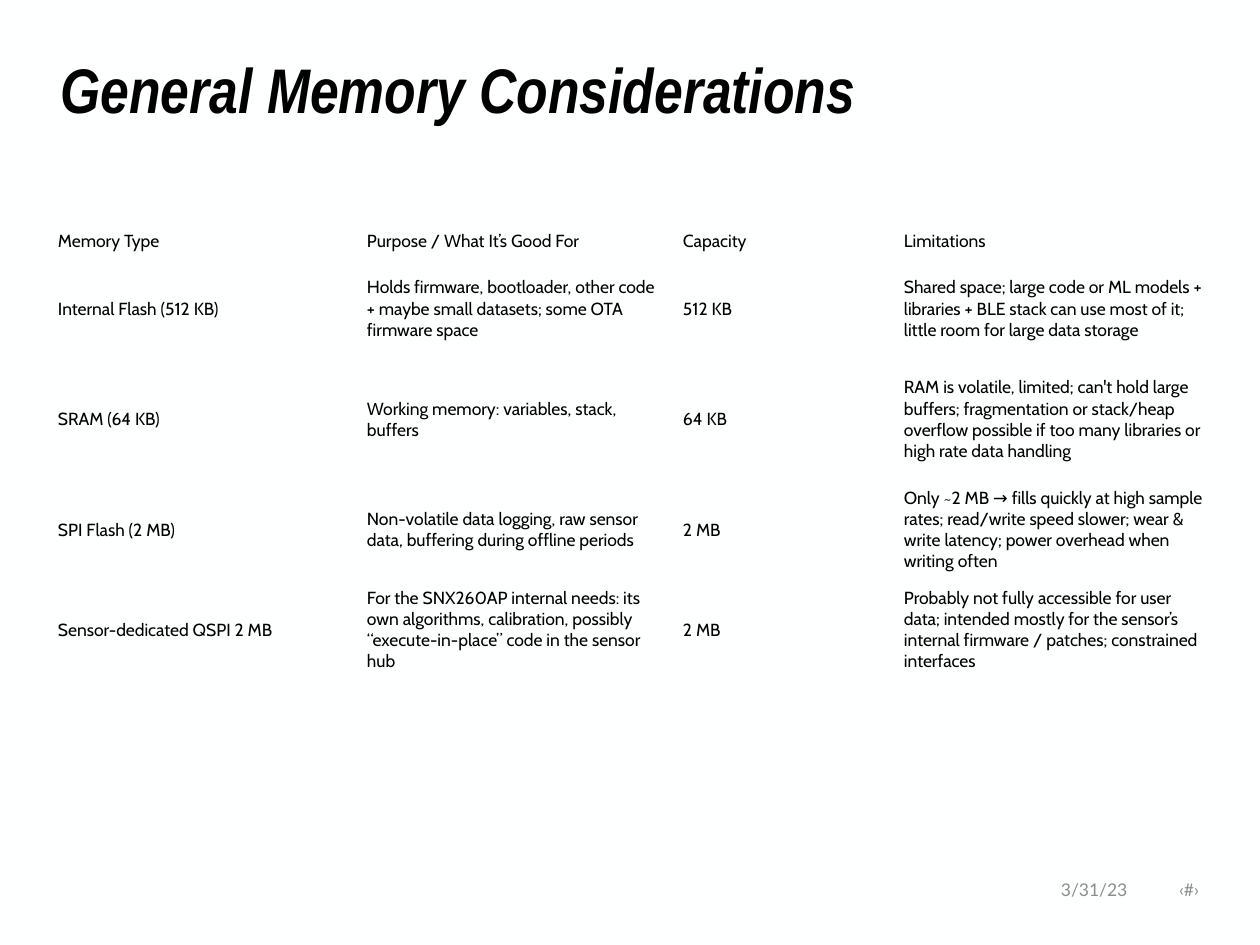
from lxml import etree
from pptx import Presentation, util as u
from pptx.dml import color
from pptx.enum import text
from pptx.oxml import ns

NO_STYLE = "{2D5ABB26-0587-4C30-8999-92F81FD0307C}"
TITLE = {"name": "Arial Narrow", "size": u.Pt(36), "bold": True, "italic": True}
BODY = {"name": "Cabin", "size": u.Pt(10)}
FOOTER = {"name": "Lato", "size": u.Pt(10)}

COLUMNS = [309, 316, 221, 319]
ROWS = [35, 100, 121, 100, 100]
MEMORY = [
    ["Memory Type", "Purpose / What It’s Good For", "Capacity", "Limitations"],
    ["Internal Flash (512 KB)",
     "Holds firmware, bootloader, other code + maybe small datasets; some OTA firmware space",
     "512 KB",
     "Shared space; large code or ML models + libraries + BLE stack can use most of it; "
     "little room for large data storage"],
    ["SRAM (64 KB)",
     "Working memory: variables, stack, buffers",
     "64 KB",
     "RAM is volatile, limited; can't hold large buffers; fragmentation or stack/heap "
     "overflow possible if too many libraries or high rate data handling"],
    ["SPI Flash (2 MB)",
     "Non-volatile data logging, raw sensor data, buffering during offline periods",
     "2 MB",
     "Only ~2 MB → fills quickly at high sample rates; read/write speed slower; "
     "wear & write latency; power overhead when writing often"],
    ["Sensor-dedicated QSPI 2 MB",
     "For the SNX260AP internal needs: its own algorithms, calibration, possibly "
     "“execute-in-place” code in the sensor hub",
     "2 MB",
     "Probably not fully accessible for user data; intended mostly for the sensor’s "
     "internal firmware / patches; constrained interfaces"],
]


def px(n):
    return u.Emu(round(n * 914400 / 126))


def rgb(value):
    return color.RGBColor.from_string(value)


def write(p, words, style, ink):
    r = p.add_run()
    r.text = words
    for key, value in style.items():
        setattr(r.font, key, value)
    r.font.color.rgb = rgb(ink)


def add_text(s, box):
    """Add an empty, vertically centred text box and return its frame."""
    tf = s.shapes.add_textbox(*map(px, box)).text_frame
    tf.word_wrap = True
    tf.vertical_anchor = text.MSO_ANCHOR.MIDDLE
    return tf


def add_title(s, box):
    p = add_text(s, box).paragraphs[0]
    p.line_spacing = 0.9
    write(p, "General Memory Considerations", TITLE, "000000")


def add_memory_table(s, box):
    table = s.shapes.add_table(len(ROWS), len(COLUMNS), *map(px, box)).table
    table.first_row = table.horz_banding = False
    table._tbl.tblPr.find(ns.qn("a:tableStyleId")).text = NO_STYLE
    for column, width in zip(table.columns, COLUMNS):
        column.width = px(width)
    for row, height, entries in zip(table.rows, ROWS, MEMORY):
        row.height = px(height)
        for cell, words in zip(row.cells, entries):
            cell.fill.background()
            cell.vertical_anchor = text.MSO_ANCHOR.MIDDLE
            cell.margin_left = cell.margin_right = px(10)
            cell.margin_top = cell.margin_bottom = px(5)
            write(cell.text_frame.paragraphs[0], words, BODY, "000000")


def add_footer(s, box):
    """Date at the left, page mark on a right tab at the box's inner edge."""
    tf = add_text(s, box)
    tf.margin_left, tf.margin_right = px(33), px(12)
    p = tf.paragraphs[0]
    tabs = etree.SubElement(p._p.get_or_add_pPr(), ns.qn("a:tabLst"))
    etree.SubElement(tabs, ns.qn("a:tab"), pos=str(px(box[2] - 47)), algn="r")
    p.space_after = u.Pt(6)
    write(p, "3/31/23\t‹#›", FOOTER, "8C8C8C")


def main():
    prs = Presentation()
    prs.slide_width, prs.slide_height = px(1260), px(945)
    s = prs.slides.add_slide(prs.slide_layouts[6])
    s.background.fill.solid()
    s.background.fill.fore_color.rgb = rgb("FEFFFF")
    add_title(s, (48, 53, 1164, 81))
    add_footer(s, (1028, 867, 185, 44))
    add_memory_table(s, (48, 224, sum(COLUMNS), sum(ROWS)))
    prs.save("out.pptx")


if __name__ == "__main__":
    main()
